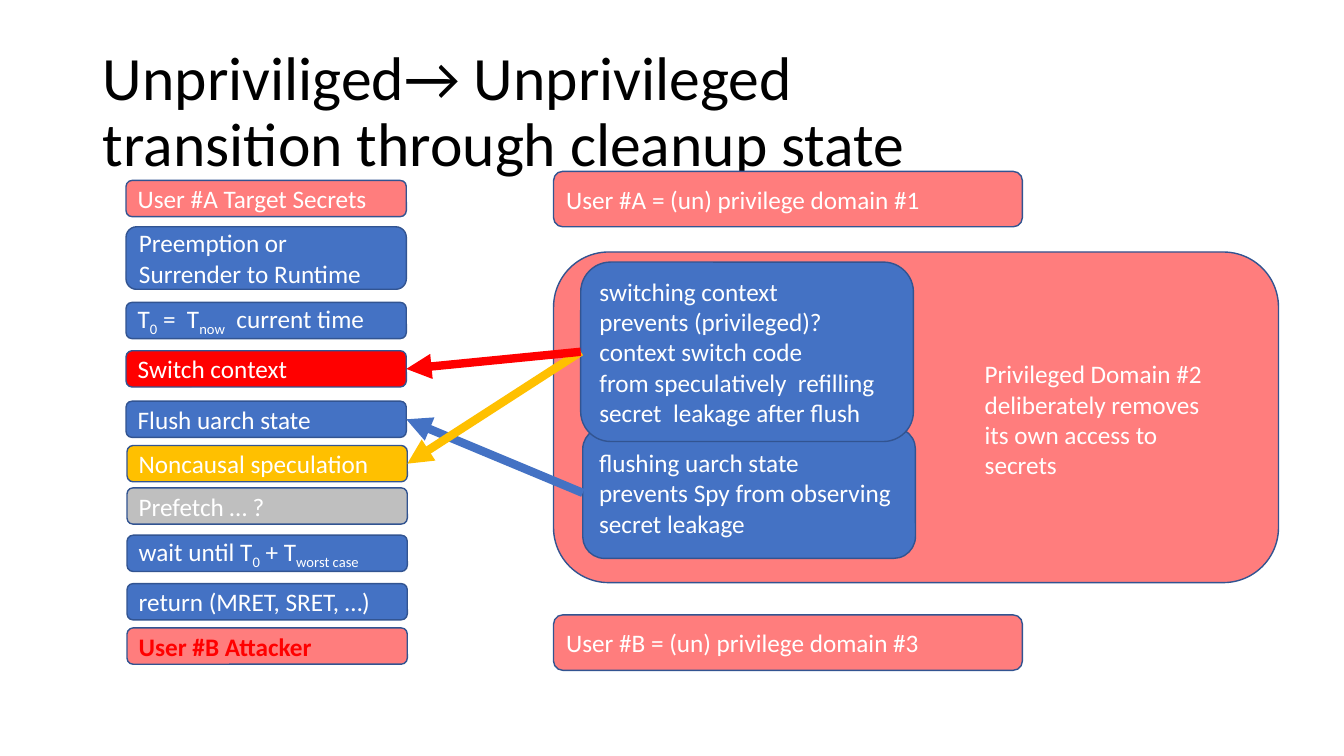
from lxml import etree
from pptx import Presentation
from pptx.dml.color import RGBColor
from pptx.enum.shapes import MSO_CONNECTOR, MSO_SHAPE
from pptx.enum.text import MSO_ANCHOR, MSO_AUTO_SIZE, PP_ALIGN
from pptx.oxml.ns import qn
from pptx.util import Inches, Pt

ROUND_RECT = MSO_SHAPE.ROUNDED_RECTANGLE
STRAIGHT = MSO_CONNECTOR.STRAIGHT
MIDDLE = MSO_ANCHOR.MIDDLE
LEFT = PP_ALIGN.LEFT
LEFT_SITE, RIGHT_SITE = 1, 3

BLACK = RGBColor(0x00, 0x00, 0x00)
WHITE = RGBColor(0xFF, 0xFF, 0xFF)
BLUE = RGBColor(0x44, 0x72, 0xC4)
OUTLINE = RGBColor(0x32, 0x54, 0x91)
PINK = RGBColor(0xFF, 0x7D, 0x7D)
RED = RGBColor(0xFF, 0x00, 0x00)
GOLD = RGBColor(0xFF, 0xC0, 0x00)
GRAY = RGBColor(0xBF, 0xBF, 0xBF)

# In all texts, parts between bars are subscripts and \v breaks a line.
TITLE = "Unpriviliged→ Unprivileged  \vtransition through cleanup state"

STEP_W, STEP_H = 2.78, 0.36
# name: left, top, height, fill, text
STEPS = {
    "secrets": (1.25, 1.79, STEP_H, PINK, "User #A Target Secrets"),
    "preempt": (1.25, 2.25, 0.62, BLUE, "Preemption or Surrender to Runtime"),
    "time": (1.25, 3.0, STEP_H, BLUE, "T|0| =  T|now|  current time"),
    "switch": (1.25, 3.48, STEP_H, RED, "Switch context"),
    "flush": (1.25, 3.98, STEP_H, BLUE, "Flush uarch state"),
    "speculation": (1.26, 4.42, STEP_H, GOLD, "Noncausal speculation"),
    "prefetch": (1.26, 4.84, STEP_H, GRAY, "Prefetch … ?"),
    "wait": (1.26, 5.31, STEP_H, BLUE, "wait until T|0| + T|worst case"),
    "return": (1.26, 5.79, STEP_H, BLUE, "return (MRET, SRET, …)"),
}
ATTACKER = (1.26, 6.23, STEP_W, STEP_H)

USER_DOMAINS = [
    (1.7, "User #A = (un) privilege domain #1"),
    (6.1, "User #B = (un) privilege domain #3"),
]
DOMAIN_LEFT = 5.49
PRIVILEGED_DOMAIN = ["Privileged Domain #2", "deliberately removes",
                     "its own access to secrets"]
FLUSHING = ["flushing uarch state", "prevents Spy from observing", "secret leakage"]
SWITCHING = ["switching context", "prevents (privileged)?", "context switch code",
             "from speculatively  refilling  \vsecret  leakage after flush"]

# step, explanation, colour
ARROWS = [("flush", "flushing", BLUE),
          ("speculation", "switching", GOLD),
          ("switch", "switching", RED)]


def write(tf, lines, size=18, color=WHITE, bold=False, spacing=None):
    tf.word_wrap = True
    tf.auto_size = MSO_AUTO_SIZE.NONE
    tf.vertical_anchor = MIDDLE
    for i, line in enumerate(lines):
        p = tf.add_paragraph() if i else tf.paragraphs[0]
        p.alignment = LEFT
        if spacing:
            p.line_spacing = spacing
        for j, part in enumerate(line.split("|")):
            for k, text in enumerate(part.split("\v")):
                if k:
                    p.add_line_break()
                r = p.add_run()
                r.text = text
                r.font.name = "Calibri"
                r.font.size = Pt(size)
                r.font.bold = bold
                r.font.color.rgb = color
                if j % 2:
                    r.font._element.set("baseline", "-25000")


def add_box(s, left, top, width, height, fill, lines=(), outline=True, **fmt):
    sp = s.shapes.add_shape(ROUND_RECT, *map(Inches, (left, top, width, height)))
    sp.shadow.inherit = False
    sp.fill.solid()
    sp.fill.fore_color.rgb = fill
    if outline:
        sp.line.color.rgb = OUTLINE
        sp.line.width = Pt(1)
    else:
        sp.line.fill.background()
    write(sp.text_frame, lines, **fmt)
    return sp


def add_arrow(s, step, explanation, color):
    """Join an explanation to its step, with the arrowhead at the step."""
    line = s.shapes.add_connector(STRAIGHT, 0, 0, 0, 0)
    line.begin_connect(step, RIGHT_SITE)
    line.end_connect(explanation, LEFT_SITE)
    line.line.color.rgb = color
    line.line.width = Pt(6)
    etree.SubElement(line.line._get_or_add_ln(), qn("a:headEnd"), type="triangle")
    etree.SubElement(line._element.spPr, qn("a:effectLst"))


def main():
    prs = Presentation()
    prs.slide_width, prs.slide_height = Inches(13.33), Inches(7.5)
    s = prs.slides.add_slide(prs.slide_layouts[5])

    title = s.shapes.title
    title.left, title.top = Inches(0.92), Inches(0.4)
    title.width, title.height = Inches(11.5), Inches(1.45)
    write(title.text_frame, [TITLE], size=44, color=BLACK, spacing=0.9)

    add_box(s, DOMAIN_LEFT, 2.5, 7.19, 3.28, PINK)
    add_box(s, 9.58, 3.26, 2.78, 1.8, PINK, PRIVILEGED_DOMAIN, outline=False)
    for top, text in USER_DOMAINS:
        add_box(s, DOMAIN_LEFT, top, 4.65, 0.55, PINK, [text])

    steps = {name: add_box(s, left, top, STEP_W, height, fill, [text])
             for name, (left, top, height, fill, text) in STEPS.items()}
    add_box(s, *ATTACKER, PINK, ["User #B Attacker"], color=RED, bold=True)

    explanations = {
        "flushing": add_box(s, 5.78, 4.24, 3.3, 1.3, BLUE, FLUSHING),
        "switching": add_box(s, 5.76, 2.6, 3.3, 1.78, BLUE, SWITCHING),
    }
    for step, explanation, color in ARROWS:
        add_arrow(s, steps[step], explanations[explanation], color)

    prs.save("out.pptx")


if __name__ == "__main__":
    main()
